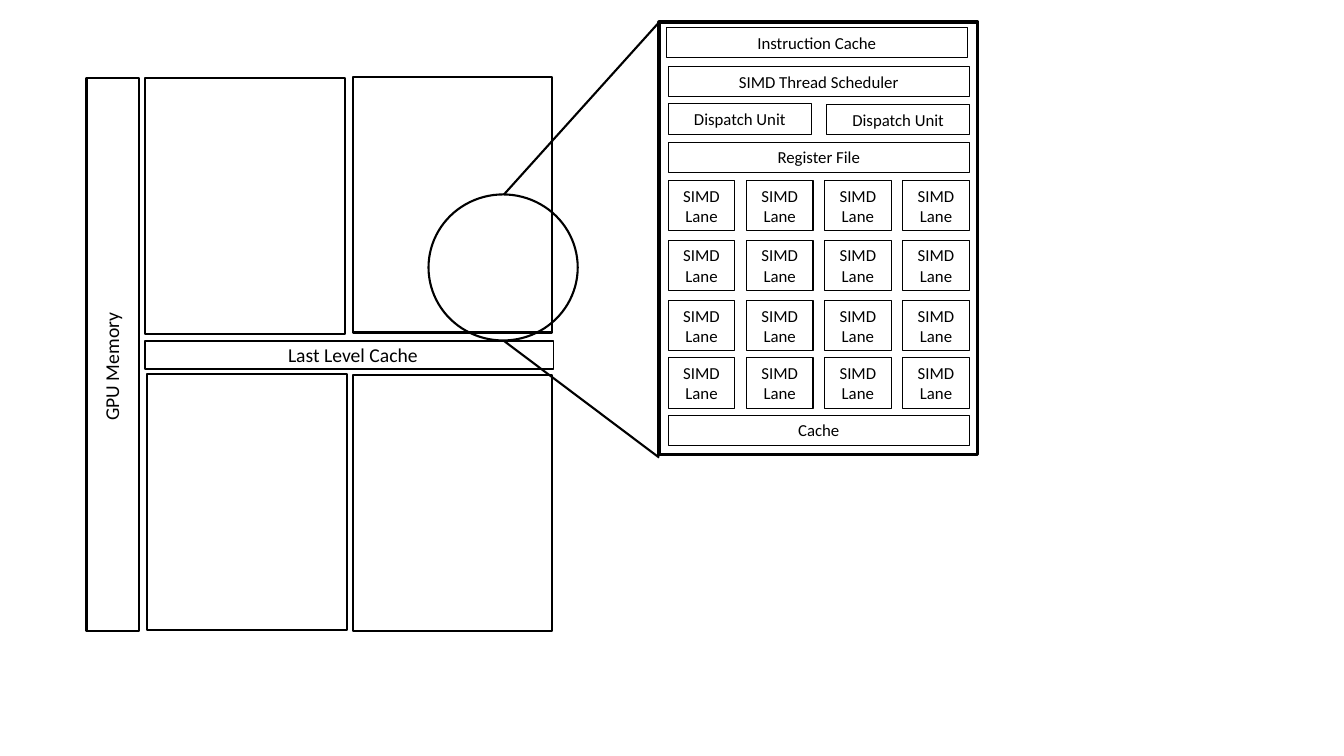
"""Draw a GPU block diagram with an enlarged SIMD processor."""
from itertools import product

from lxml.etree import SubElement
from pptx import Presentation
from pptx.dml.color import RGBColor
from pptx.enum.shapes import MSO_CONNECTOR, MSO_SHAPE
from pptx.enum.text import MSO_ANCHOR, MSO_AUTO_SIZE, PP_ALIGN
from pptx.oxml.ns import qn
from pptx.util import Cm, Pt

COLORS = {"ink": "000000"}


class Diagram:
    """Hold the style and the current page."""

    def __init__(self, page, font="Calibri"):
        self.page = page
        self.font = font
        self.ink = RGBColor.from_string(COLORS["ink"])

    def caption(self, shape, text, size):
        frame = shape.text_frame
        frame.word_wrap = True
        frame.auto_size = MSO_AUTO_SIZE.SHAPE_TO_FIT_TEXT
        paragraph = frame.paragraphs[0]
        paragraph.text = text
        paragraph.alignment = PP_ALIGN.CENTER
        paragraph.font.name = self.font
        paragraph.font.size = Pt(size)
        paragraph.font.color.rgb = self.ink

    def outline(self, left, top, width, height, weight=1.5, kind=MSO_SHAPE.RECTANGLE):
        shape = self.page.shapes.add_shape(kind, Cm(left), Cm(top), Cm(width), Cm(height))
        shape.shadow.inherit = False
        shape.fill.background()
        shape.line.color.rgb = self.ink
        shape.line.width = Pt(weight)
        return shape

    def unit(self, text, left, top, width, height=0.76):
        box = self.outline(left, top, width, height, weight=0.75)
        box.text_frame.vertical_anchor = MSO_ANCHOR.MIDDLE
        self.caption(box, text, 12)

    def label(self, text, left, top, width, height, rotation=0):
        box = self.page.shapes.add_textbox(Cm(left), Cm(top), Cm(width), Cm(height))
        box.rotation = rotation
        self.caption(box, text, 14)

    def line(self, start_x, start_y, end_x, end_y):
        connector = self.page.shapes.add_connector(
            MSO_CONNECTOR.STRAIGHT, Cm(start_x), Cm(start_y), Cm(end_x), Cm(end_y))
        connector.line.color.rgb = self.ink
        connector.line.width = Pt(1.5)
        SubElement(connector._element.spPr, qn("a:effectLst"))


def draw_processor(diagram):
    left, full_width = 16.84, 7.59
    diagram.unit("Instruction Cache", 16.79, 0.69, full_width)
    for text, top in (("SIMD Thread Scheduler", 1.68), ("Register File", 3.58), ("Cache", 10.46)):
        diagram.unit(text, left, top, full_width)
    for dispatch_left, top in ((left, 2.62), (20.83, 2.64)):
        diagram.unit("Dispatch Unit", dispatch_left, top, 3.61)
    for top, column in product((4.55, 6.05, 7.57, 9.02), range(4)):
        diagram.unit("SIMD Lane", left + 1.97 * column, top, 1.68, 1.27)
    diagram.outline(16.61, 0.56, 8.03, 10.9, weight=2.5)


def draw_chip(diagram):
    diagram.label("Last Level Cache", 4.78, 8.51, 8.23, 0.86)
    diagram.outline(3.66, 8.59, 10.29, 0.71, weight=1)
    for left, top in ((3.66, 1.96), (8.89, 1.93), (8.89, 9.45), (3.71, 9.42)):
        diagram.outline(left, top, 5.03, 6.45)
    diagram.label("GPU Memory", -1.3, 8.81, 8.23, 0.86, rotation=270)
    diagram.outline(2.18, 1.96, 1.32, 13.94)


def draw_magnifier(diagram):
    diagram.outline(10.8, 4.9, 3.76, 3.68, kind=MSO_SHAPE.OVAL)
    diagram.line(12.7, 4.9, 16.61, 0.56)
    diagram.line(12.7, 8.59, 16.61, 11.53)


def main():
    deck = Presentation()
    deck.slide_width, deck.slide_height = Cm(33.87), Cm(19.05)
    diagram = Diagram(deck.slides.add_slide(deck.slide_layouts[6]))
    draw_processor(diagram)
    draw_chip(diagram)
    draw_magnifier(diagram)
    deck.save("out.pptx")


if __name__ == "__main__":
    main()
